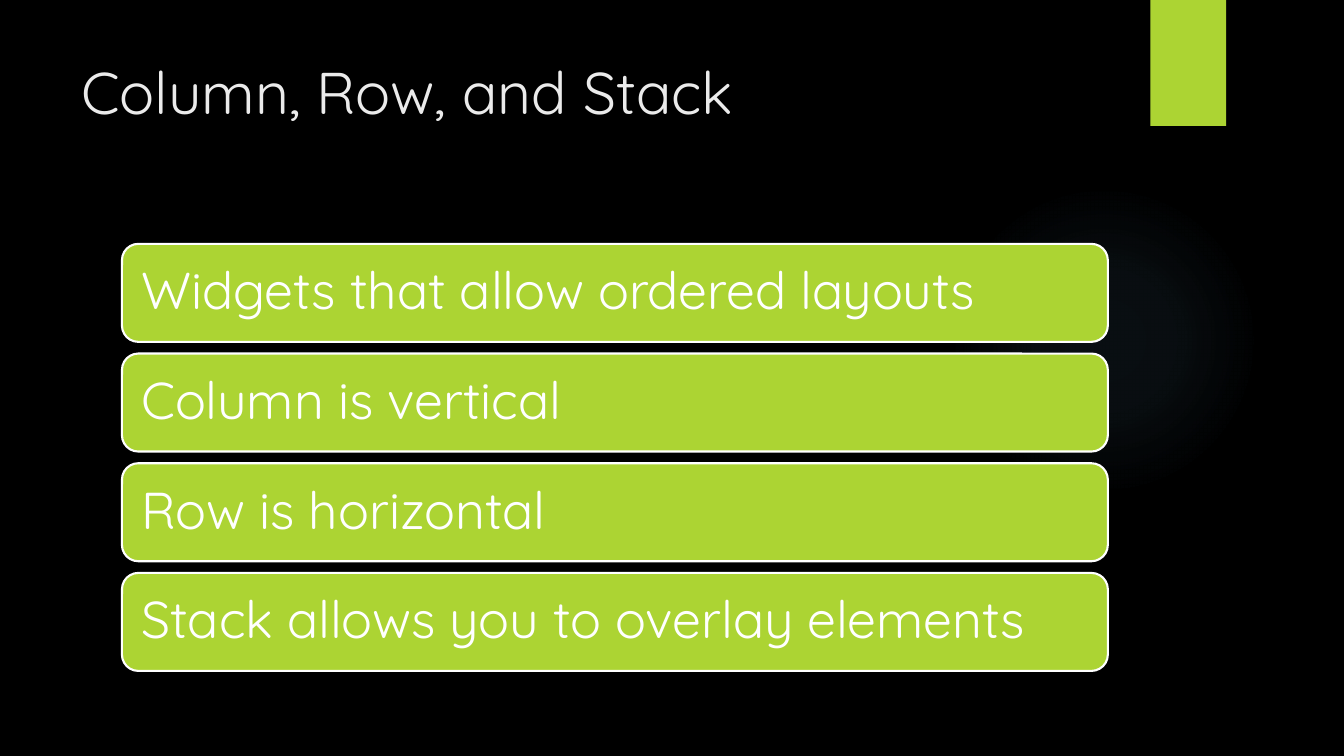
from dataclasses import dataclass

from lxml import etree
from pptx import Presentation
from pptx.dml.color import RGBColor
from pptx.enum import shapes, text
from pptx.oxml import ns
from pptx.util import Pt


@dataclass(frozen=True)
class Theme:
    font: str = "Quicksand"
    background: str = "000000"
    accent: str = "ACD433"
    glow: str = "7AC4F0"
    title: str = "EBEBEB"
    white: str = "FFFFFF"
    title_size: float = 42
    bar_size: float = 37


THEME = Theme()
TITLE = "Column, Row, and Stack"
POINTS = [
    "Widgets that allow ordered layouts",
    "Column is vertical",
    "Row is horizontal",
    "Stack allows you to overlay elements",
]
BAR_LEFT, BAR_TOP, BAR_WIDTH, BAR_HEIGHT = 87.1, 174.2, 704.2, 70
BAR_PITCH = 78.35
GLOW_STOPS = [(0, 7), (36, 6), (69, 0)]  # position and opacity, in percent


def rgb(value):
    return RGBColor.from_string(value)


def write_text(shape, content, *, size, color, anchor, inset, line_spacing=1.0):
    frame = shape.text_frame
    frame.word_wrap = True
    frame.auto_size = text.MSO_AUTO_SIZE.NONE
    frame.vertical_anchor = anchor
    frame.margin_left = frame.margin_right = Pt(inset)
    frame.margin_top = frame.margin_bottom = Pt(3.6)
    paragraph = frame.paragraphs[0]
    paragraph.alignment = text.PP_ALIGN.LEFT
    paragraph.line_spacing = line_spacing
    run = paragraph.add_run()
    run.text = content
    run.font.name = THEME.font
    run.font.size = Pt(size)
    run.font.color.rgb = rgb(color)


def add_block(slide, kind, left, top, width, height, *, fill=None, line=None):
    shape = slide.shapes.add_shape(kind, Pt(left), Pt(top), Pt(width), Pt(height))
    shape.shadow.inherit = False
    if fill:
        shape.fill.solid()
        shape.fill.fore_color.rgb = rgb(fill)
    if line:
        shape.line.color.rgb = rgb(line)
        shape.line.width = Pt(1.5)
    else:
        shape.line.fill.background()
    return shape


def add_glow(slide):
    glow = add_block(slide, shapes.MSO_SHAPE.OVAL, 677.5, 131.8, 221.8, 221.8)
    # Radial gradient that fades to transparent
    stops = "".join(
        f'<a:gs pos="{position * 1000}"><a:srgbClr val="{THEME.glow}">'
        f'<a:alpha val="{opacity * 1000}"/></a:srgbClr></a:gs>'
        for position, opacity in GLOW_STOPS
    )
    gradient = etree.fromstring(
        f'<a:gradFill {ns.nsdecls("a")}><a:gsLst>{stops}</a:gsLst><a:path path="circle">'
        '<a:fillToRect l="50000" t="50000" r="50000" b="50000"/></a:path></a:gradFill>'
    )
    glow.element.spPr.find(ns.qn("a:prstGeom")).addnext(gradient)


def add_title(slide):
    title = slide.shapes.title
    title.left, title.top, title.width, title.height = Pt(51), Pt(36), Pt(741), Pt(110)
    write_text(title, TITLE, size=THEME.title_size, color=THEME.title,
               anchor=text.MSO_ANCHOR.TOP, inset=7.2)


def add_bar(slide, index, content):
    bar = add_block(slide, shapes.MSO_SHAPE.ROUNDED_RECTANGLE,
                    BAR_LEFT, BAR_TOP + index * BAR_PITCH, BAR_WIDTH, BAR_HEIGHT,
                    fill=THEME.accent, line=THEME.white)
    write_text(bar, content, size=THEME.bar_size, color=THEME.white,
               anchor=text.MSO_ANCHOR.MIDDLE, inset=10.4, line_spacing=0.9)


def main():
    presentation = Presentation()
    presentation.slide_width, presentation.slide_height = Pt(960), Pt(540)
    slide = presentation.slides.add_slide(presentation.slide_layouts[5])

    # Backdrop
    slide.background.fill.solid()
    slide.background.fill.fore_color.rgb = rgb(THEME.background)
    add_glow(slide)
    add_block(slide, shapes.MSO_SHAPE.RECTANGLE, 821.8, 0, 54, 90, fill=THEME.accent)

    # Title and stacked bars
    add_title(slide)
    for index, content in enumerate(POINTS):
        add_bar(slide, index, content)

    presentation.save("out.pptx")


if __name__ == "__main__":
    main()
